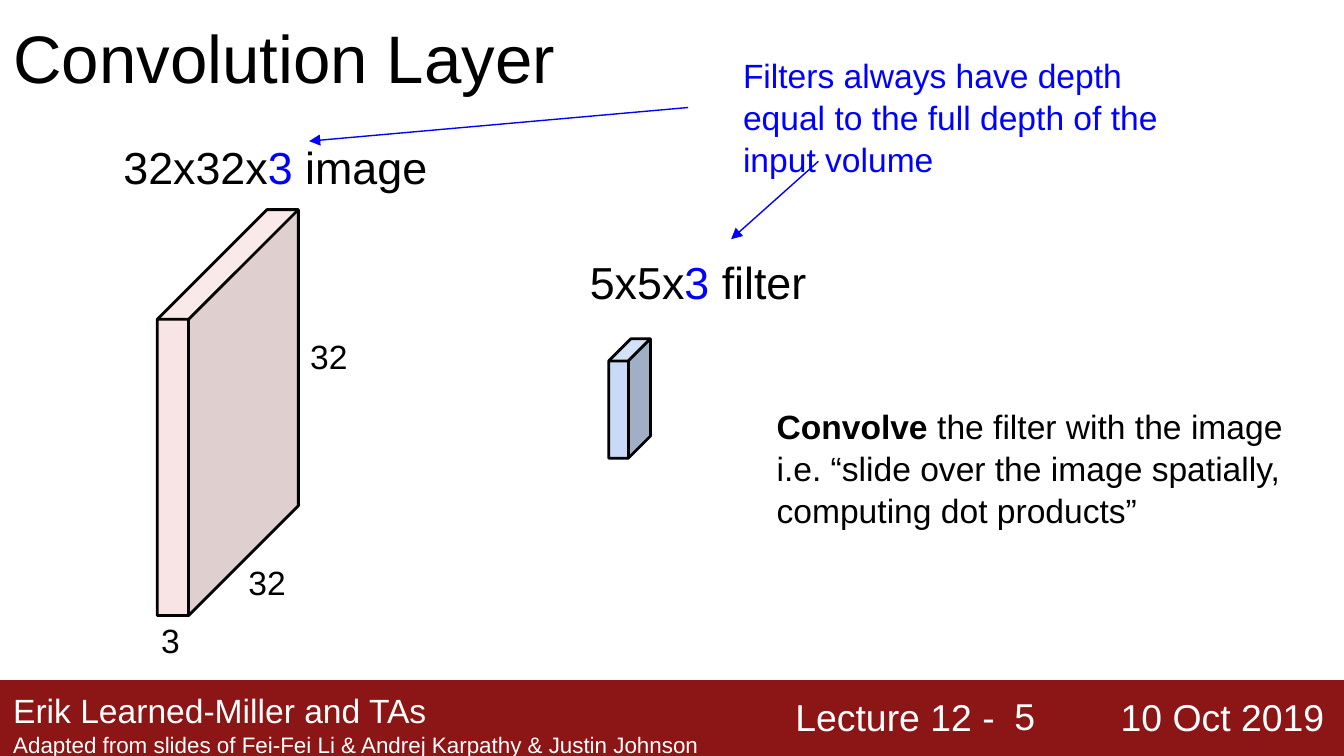
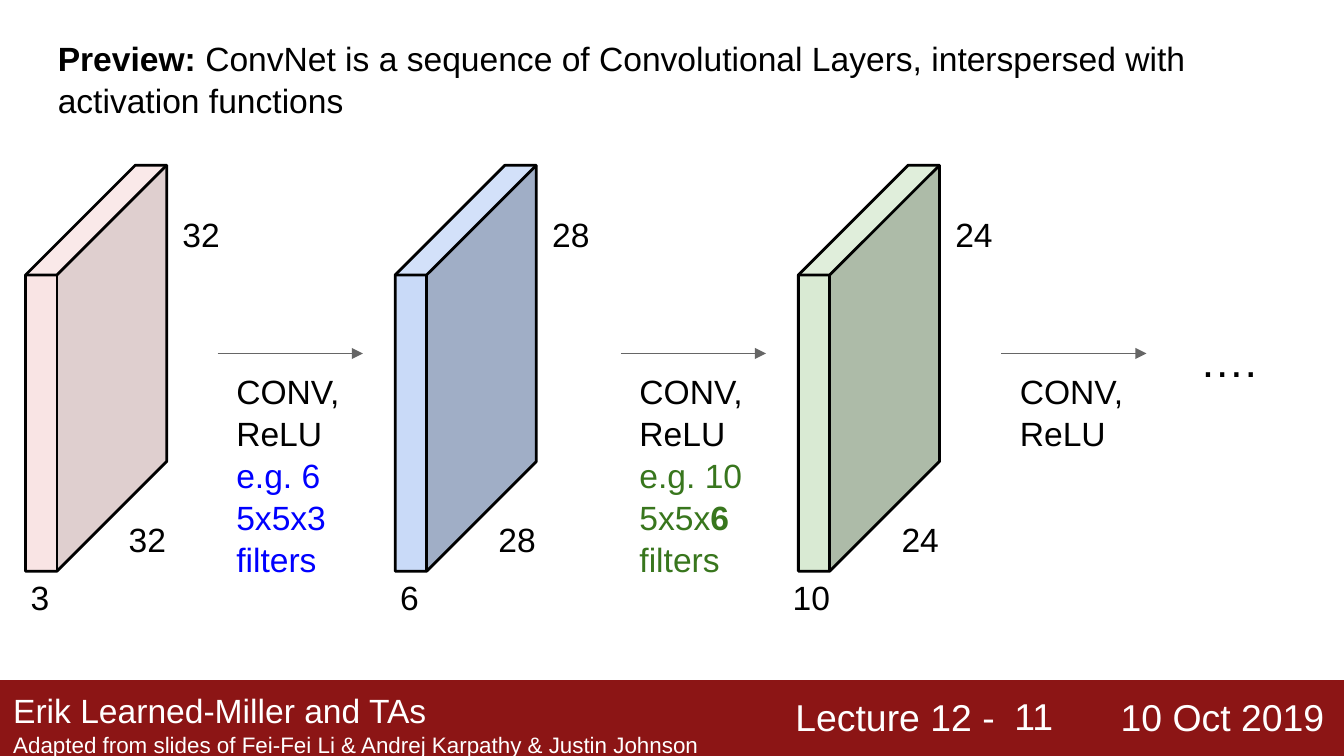
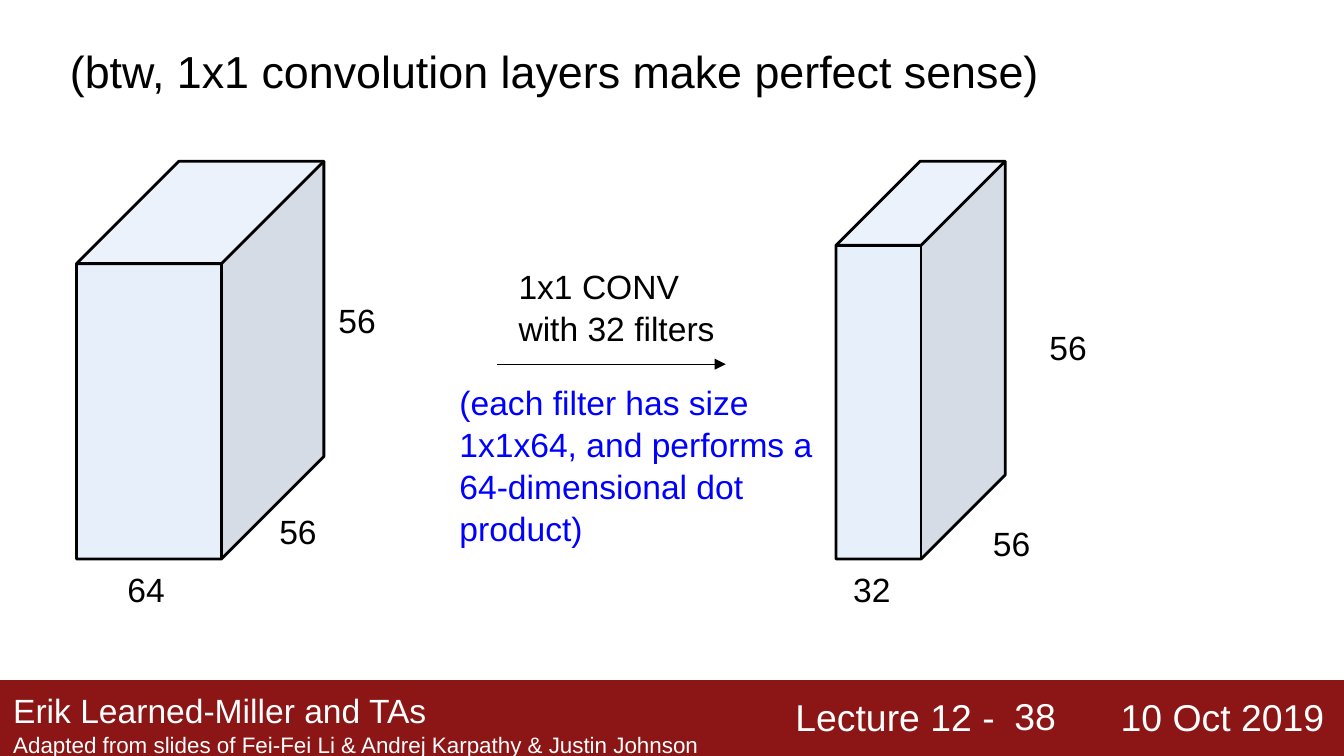
import dataclasses

import lxml.etree
import pptx
import pptx.dml.color
import pptx.enum.shapes
import pptx.enum.text
import pptx.oxml.ns
import pptx.util


@dataclasses.dataclass(frozen=True)
class Theme:
    font: str = "Arial"
    ink: str = "000000"
    blue: str = "0000FF"
    green: str = "38761D"
    grey: str = "666666"
    white: str = "FFFFFF"
    band: str = "8C1515"
    pink_face: str = "F4CCCC"
    blue_face: str = "C9DAF8"
    green_face: str = "D9EAD3"
    headline: int = 36
    heading: int = 24
    footer: int = 20
    text: int = 18
    credit: int = 12
    line_spacing: float = 1.04
    outline: float = 1.5
    arrow: float = 0.75


class LectureDeck:
    """Build lecture pages on a grid whose columns and rows are a tenth of an inch."""

    def __init__(self, theme):
        self.theme = theme
        self.deck = pptx.Presentation()
        self.deck.slide_width = self.grid(100)
        self.deck.slide_height = self.grid(56.25)
        self.layout = self.deck.slide_layouts[5]
        self.page = None

    def grid(self, count):
        return pptx.util.Inches(count / 10)

    def color(self, value):
        return pptx.dml.color.RGBColor.from_string(value)

    def place(self, shape, area):
        for name, count in zip(("left", "top", "width", "height"), area):
            setattr(shape, name, self.grid(count))

    def add_page(self, number, title, area, size):
        first = self.page is None
        self.page = self.deck.slides.add_slide(self.layout)
        if first:
            self.add_footer()
        box = self.page.shapes.title
        self.place(box, area)
        self.fill_text(box, [title], size=size)
        self.add_text([[(number, {})]], (74.5, 51, 8.4, 4.3), size=self.theme.footer,
                      color=self.theme.white, anchor=pptx.enum.text.MSO_ANCHOR.MIDDLE)

    def add_footer(self):
        theme = self.theme
        style = {"size": theme.footer, "color": theme.white}
        band = self.add_shape("RECTANGLE", (0, 50.6, 100, 5.8), theme.band)
        band.line.fill.background()
        credit = [("Erik Learned-Miller and TAs", {"size": theme.text}), ("\n", {}),
                  ("Adapted from slides of Fei-Fei Li & Andrej Karpathy & Justin Johnson",
                   {"size": theme.credit})]
        parts = [band,
                 self.add_text([[("Lecture 12 -", {})]], (58.2, 50.5, 38.3, 5.9), **style),
                 self.add_text([[("10 Oct 2019", {})]], (82.4, 50.5, 38.3, 5.9), **style),
                 self.add_text([credit], (0, 50.2, 57.4, 5.9), **style)]
        for part in parts:
            self.layout.shapes.element.append(part.element)

    def fill_text(self, box, paragraphs, size=None, color=None,
                  anchor=pptx.enum.text.MSO_ANCHOR.TOP):
        frame = box.text_frame
        settings = {"word_wrap": True, "vertical_anchor": anchor,
                    "auto_size": pptx.enum.text.MSO_AUTO_SIZE.NONE}
        settings.update({f"margin_{side}": self.grid(1)
                         for side in ("left", "top", "right", "bottom")})
        for name, value in settings.items():
            setattr(frame, name, value)
        for index, spans in enumerate(paragraphs):
            para = frame.add_paragraph() if index else frame.paragraphs[0]
            para.alignment = pptx.enum.text.PP_ALIGN.LEFT
            para.line_spacing = self.theme.line_spacing
            for text, changes in spans:
                if text == "\n":
                    para.add_line_break()
                    continue
                span = para.add_run()
                span.text = text
                look = {"size": size or self.theme.text, "color": color or self.theme.ink,
                        "bold": False, **changes}
                span.font.color.rgb = self.color(look.pop("color"))
                look.update(size=pptx.util.Pt(look["size"]), name=self.theme.font)
                for name, value in look.items():
                    setattr(span.font, name, value)

    def add_text(self, paragraphs, area, **style):
        box = self.page.shapes.add_textbox(*map(self.grid, area))
        self.fill_text(box, paragraphs, **style)
        return box

    def add_shape(self, kind, area, fill, opacity=100):
        preset = getattr(pptx.enum.shapes.MSO_SHAPE, kind)
        shape = self.page.shapes.add_shape(preset, *map(self.grid, area))
        shape.shadow.inherit = False
        shape.fill.solid()
        shape.fill.fore_color.rgb = self.color(fill)
        if opacity < 100:
            tint = shape.element.spPr.find(".//" + pptx.oxml.ns.qn("a:srgbClr"))
            lxml.etree.SubElement(tint, pptx.oxml.ns.qn("a:alpha"), val=str(opacity * 1000))
        return shape

    def add_volume(self, area, depth, fill, opacity=100, labels=()):
        cube = self.add_shape("CUBE", area, fill, opacity)
        cube.adjustments[0] = depth
        cube.line.color.rgb = self.color(self.theme.ink)
        cube.line.width = pptx.util.Pt(self.theme.outline)
        for text, across, down in labels:
            self.add_text([[(text, {})]], (area[0] + across, area[1] + down, 5.4, 3.4))

    def add_arrow(self, start, end, color):
        arrow = self.page.shapes.add_connector(
            pptx.enum.shapes.MSO_CONNECTOR.STRAIGHT, *map(self.grid, (*start, *end)))
        arrow.line.color.rgb = self.color(color)
        arrow.line.width = pptx.util.Pt(self.theme.arrow)
        line = arrow.element.spPr.find(pptx.oxml.ns.qn("a:ln"))
        lxml.etree.SubElement(line, pptx.oxml.ns.qn("a:tailEnd"), type="triangle")
        lxml.etree.SubElement(arrow.element.spPr, pptx.oxml.ns.qn("a:effectLst"))


def build_filter_page(lecture):
    theme = lecture.theme
    lecture.add_page("5", [("Convolution Layer", {})], (0, 0, 84.2, 7.2), theme.headline)
    lecture.add_volume((11.7, 15.6, 10.5, 30.2), 0.777, theme.pink_face, 52,
                       [("32", 5.8, 25.1), ("32", 10.4, 8.3), ("3", -0.7, 29.4)])
    lecture.add_volume((45.3, 25.2, 3.1, 8.9), 0.534, theme.blue_face)
    for size, noun, area in (("5x5x", " filter", (42.9, 17.8, 23.1, 3.9)),
                             ("32x32x", " image", (8.2, 9.2, 36.6, 5.2))):
        lecture.add_text([[(size, {}), ("3", {"color": theme.blue}), (noun, {})]], area,
                         size=theme.heading)
    lecture.add_text([[("Convolve ", {"bold": True}), ("the filter with the image", {})],
                      [("i.e. “slide over the image spatially, computing dot products”", {})]],
                     (56.8, 29.1, 43.2, 8.3))
    lecture.add_text([[("Filters always have depth equal to the full depth of the input volume",
                        {})]], (54.3, 3, 35.9, 6.4), color=theme.blue)
    lecture.add_arrow((60.9, 12), (54.4, 17.8), theme.blue)
    lecture.add_arrow((51.2, 8), (23, 10.5), theme.blue)


def build_sequence_page(lecture):
    theme = lecture.theme
    title = [("Preview: ", {"bold": True}),
             ("ConvNet is a sequence of Convolutional Layers, "
              "interspersed with activation functions", {})]
    lecture.add_page("11", title, (3.3, 1.7, 93.5, 10.8), theme.text)
    volumes = ((1.9, "32", "3", -0.6, theme.pink_face, 52),
               (29.4, "28", "6", -0.6, theme.blue_face, 100),
               (59.4, "24", "10", -1.4, theme.green_face, 100))
    for left, side, depth, shift, fill, opacity in volumes:
        lecture.add_volume((left, 12.3, 10.5, 30.2), 0.777, fill, opacity,
                           [(side, 6.7, 25.2), (side, 10.7, 2.5), (depth, shift, 29.5)])
    blue, green = {"color": theme.blue}, {"color": theme.green}
    steps = ((16.2, 10.8, [[("e.g. 6 5x5x3 filters", blue)]]),
             (46.2, 11.6, [[("e.g. 10 5x5x", green), ("6 ", {**green, "bold": True}),
                            ("filters", green)]]),
             (74.5, 10.8, []))
    for left, width, example in steps:
        lecture.add_arrow((left, 26.3), (left + 10.8, 26.3), theme.grey)
        lecture.add_text([[("CONV,", {})], [("ReLU", {})], *example],
                         (left + 0.4, 26.5, width, 4.3))
    lecture.add_text([[("….", {})]], (88.3, 23.6, 10.5, 3.9), size=theme.heading)


def build_one_by_one_page(lecture):
    theme = lecture.theme
    lecture.add_page("38", [("(btw, 1x1 convolution layers make perfect sense)", {})],
                     (4.2, 2.1, 93, 10.4), theme.heading)
    volumes = ((5.7, 18.4, 0.414, [("64", 2.8, 29.2), ("56", 14.1, 24.9), ("56", 18.5, 9.2)]),
               (62.2, 12.6, 0.497, [("32", 0.3, 29.2), ("56", 10.7, 25.8), ("56", 14.9, 11.2)]))
    for left, width, depth, labels in volumes:
        lecture.add_volume((left, 12, width, 29.6), depth, theme.blue_face, 43, labels)
    lecture.add_arrow((37, 27.1), (54, 27.1), theme.ink)
    lecture.add_text([[("1x1 CONV", {})], [("with 32 filters", {})]], (37.6, 18.7, 19.5, 4.7))
    lecture.add_text([[("(each filter has size 1x1x64, and performs a 64-dimensional dot product)",
                        {})]], (33.2, 27.3, 31.2, 6.7), color=theme.blue)


def main():
    lecture = LectureDeck(Theme())
    build_filter_page(lecture)
    build_sequence_page(lecture)
    build_one_by_one_page(lecture)
    lecture.deck.save("out.pptx")


if __name__ == "__main__":
    main()
